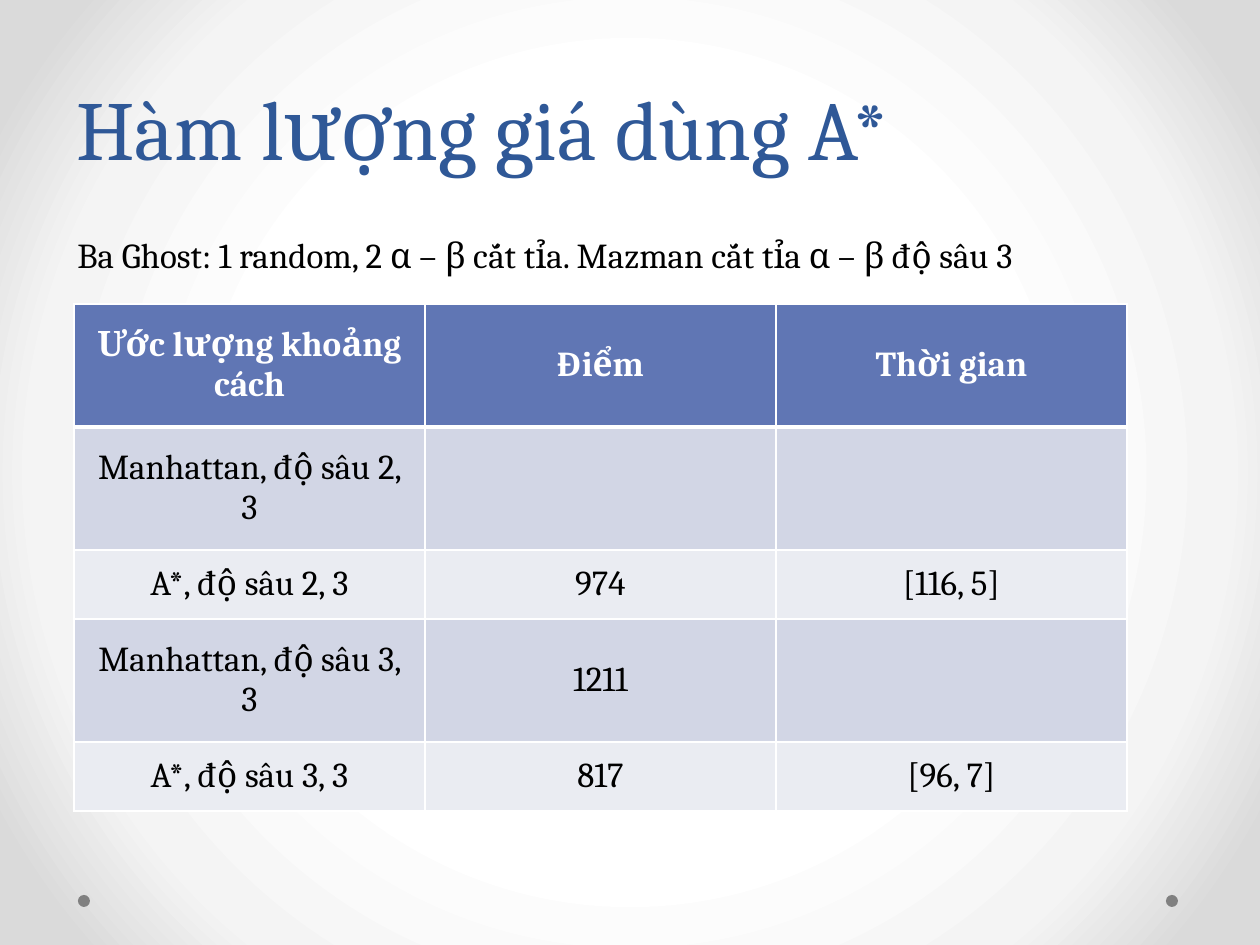
from lxml import etree
from pptx import Presentation
from pptx.dml.color import RGBColor
from pptx.enum.shapes import MSO_SHAPE as Shape
from pptx.enum.text import MSO_ANCHOR as Anchor, PP_ALIGN as Align
from pptx.oxml import parse_xml
from pptx.oxml.ns import nsdecls, qn
from pptx.util import Emu, Pt

FONT = "Cambria"
BLACK = RGBColor(0x00, 0x00, 0x00)
WHITE = RGBColor(0xFF, 0xFF, 0xFF)
GRAY = RGBColor(0x80, 0x80, 0x80)
LIGHT = RGBColor(0xF4, 0xF4, 0xF4)
EDGE = RGBColor(0xDA, 0xDA, 0xDA)
TITLE_BLUE = RGBColor(0x2F, 0x58, 0x97)
HEADER_BLUE = RGBColor(0x60, 0x76, 0xB4)
BANDS = (RGBColor(0xD2, 0xD6, 0xE5), RGBColor(0xEA, 0xEC, 0xF2))

HEADER = ("Ước lượng khoảng cách", "Điểm", "Thời gian")
RESULTS = (
    ("Manhattan, độ sâu 2, 3", "", ""),
    ("A*, độ sâu 2, 3", "974", "[116, 5]"),
    ("Manhattan, độ sâu 3, 3", "1211", ""),
    ("A*, độ sâu 3, 3", "817", "[96, 7]"),
)
TALL, SHORT = 123, 69
ROW_HEIGHTS = (TALL, TALL, SHORT, TALL, SHORT)


def px(n):
    return Emu(round(n * 914400 / 126))


def add_run(p, text, size, color, bold=False):
    r = p.add_run()
    r.text = text
    r.font.name, r.font.size, r.font.bold = FONT, Pt(size), bold
    r.font.color.rgb = color


def paint_background(s):
    # Radial gradient, white in the centre
    stops = "".join(
        f'<a:gs pos="{pos * 1000}"><a:srgbClr val="{color}"/></a:gs>'
        for pos, color in ((50, WHITE), (76, LIGHT), (92, EDGE)))
    grad = parse_xml(
        f'<a:gradFill {nsdecls("a")} rotWithShape="1"><a:gsLst>{stops}</a:gsLst>'
        '<a:path path="circle"><a:fillToRect l="50000" t="50000" r="50000" b="50000"/>'
        '</a:path></a:gradFill>')
    s.background.fill.solid()
    solid = next(s.element.iter(qn("a:solidFill")))
    solid.getparent().replace(solid, grad)


def add_dots(s, x, y, width, size=12):
    # One dot at each end of the footer
    for left in (x, x + width - size):
        sp = s.shapes.add_shape(Shape.OVAL, px(left), px(y), px(size), px(size))
        sp.shadow.inherit = False
        sp.fill.solid()
        sp.fill.fore_color.rgb = GRAY
        sp.line.fill.background()


def add_text(s, x, y, w, h, text, size, color, anchor=Anchor.TOP, spacing=None):
    tf = s.shapes.add_textbox(px(x), px(y), px(w), px(h)).text_frame
    tf.word_wrap = True
    tf.vertical_anchor = anchor
    p = tf.paragraphs[0]
    p.line_spacing = spacing
    add_run(p, text, size, color)


def set_borders(cell, bottom):
    tc_pr = cell._tc.get_or_add_tcPr()
    for i, (side, width) in enumerate(
            (("lnL", 1), ("lnR", 1), ("lnT", 1), ("lnB", bottom))):
        ln = etree.Element(qn(f"a:{side}"), w=str(Pt(width)))
        fill = etree.SubElement(ln, qn("a:solidFill"))
        etree.SubElement(fill, qn("a:srgbClr"), val=str(WHITE))
        tc_pr.insert(i, ln)


def add_results(s, x, y, w):
    rows = (HEADER,) + RESULTS
    table = s.shapes.add_table(len(rows), len(HEADER), px(x), px(y),
                               px(w), px(sum(ROW_HEIGHTS))).table
    for col in table.columns:
        col.width = px(w // len(HEADER))
    for i, (values, height) in enumerate(zip(rows, ROW_HEIGHTS)):
        table.rows[i].height = px(height)
        is_header = i == 0
        for cell, text in zip(table.rows[i].cells, values):
            cell.vertical_anchor = Anchor.MIDDLE
            cell.fill.solid()
            cell.fill.fore_color.rgb = HEADER_BLUE if is_header else BANDS[(i - 1) % 2]
            # The edge under the header is drawn thicker
            set_borders(cell, 3 if is_header else 1)
            if text:
                p = cell.text_frame.paragraphs[0]
                p.alignment = Align.CENTER
                add_run(p, text, 20, WHITE if is_header else BLACK, is_header)
        if i == 1:
            for cell in table.rows[i].cells:
                cell._tc.tcPr.find(qn("a:lnT")).set("w", str(Pt(3)))


def main():
    prs = Presentation()
    prs.slide_width, prs.slide_height = px(1260), px(945)
    s = prs.slides.add_slide(prs.slide_layouts[6])
    paint_background(s)
    add_dots(s, 78, 895, 1100)
    add_text(s, 64, 45, 1134, 139, "Hàm lượng giá dùng A*", 48, TITLE_BLUE,
             Anchor.BOTTOM, Pt(58))
    add_text(s, 65, 227, 1134, 60,
             "Ba Ghost: 1 random, 2 α – β cắt tỉa. Mazman cắt tỉa α – β độ sâu 3",
             20, BLACK)
    add_results(s, 74, 304, 1053)
    prs.save("out.pptx")


if __name__ == "__main__":
    main()
